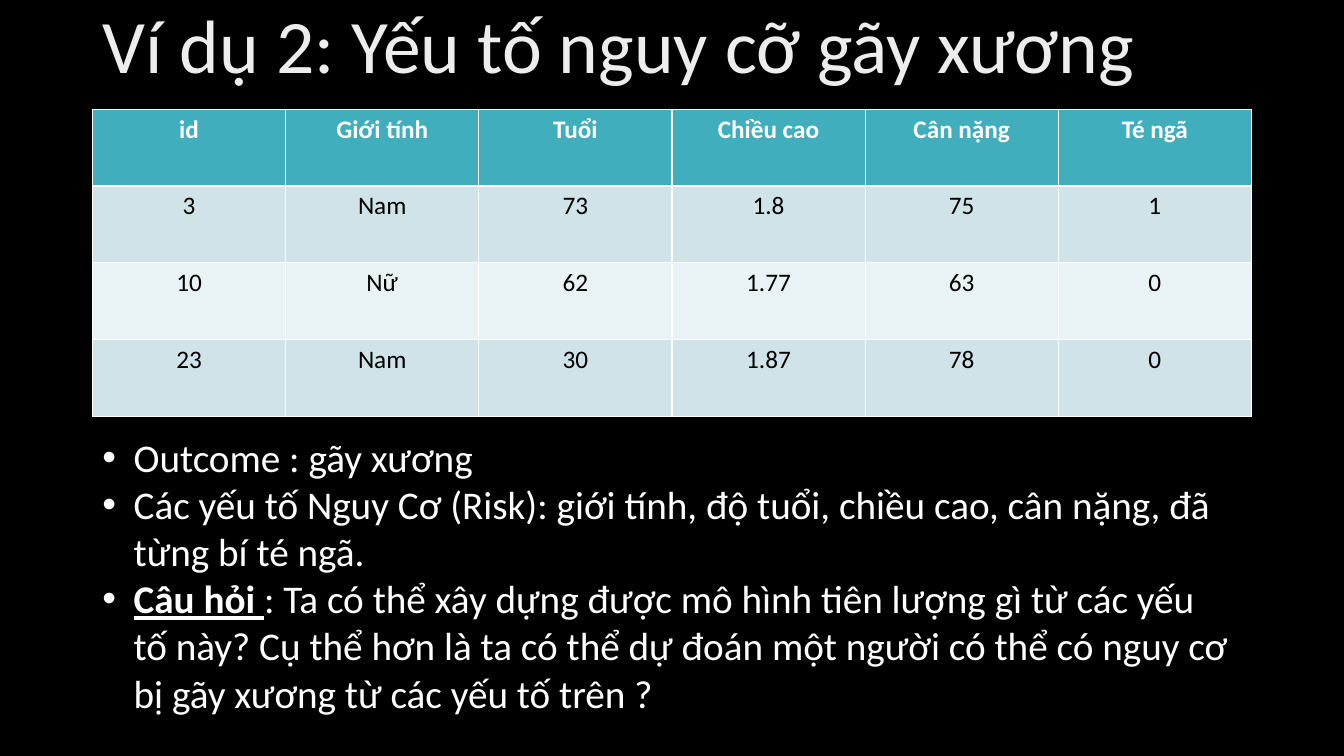
import pptx
import pptx.dml.color
import pptx.enum.text
import pptx.oxml
import pptx.util
from pptx.util import Cm

COLOURS = {
    "background": "000000",
    "title": "EDEDED",
    "light": "FFFFFF",
    "dark": "000000",
    "header": "41AEBD",
    "odd": "CFE3E8",
    "even": "E9F2F4",
}
PATIENTS = [
    ["id", "Giới tính", "Tuổi", "Chiều cao", "Cân nặng", "Té ngã"],
    ["3", "Nam", "73", "1.8", "75", "1"],
    ["10", "Nữ", "62", "1.77", "63", "0"],
    ["23", "Nam", "30", "1.87", "78", "0"],
]
POINTS = [
    ("", "Outcome : gãy xương"),
    ("", "Các yếu tố Nguy Cơ (Risk): giới tính, độ tuổi, chiều cao, cân nặng, "
         "đã từng bí té ngã."),
    ("Câu hỏi ", ": Ta có thể xây dựng được mô hình tiên lượng gì từ các yếu tố này? "
                 "Cụ thể hơn là ta có thể dự đoán một người có thể có nguy cơ bị gãy xương "
                 "từ các yếu tố trên ?"),
]


class Painter:
    """Draws styled elements on the current slide."""

    font_name = "Calibri"

    def __init__(self, page):
        self.page = page

    def paint(self, fill, colour):
        fill.solid()
        fill.fore_color.rgb = pptx.dml.color.RGBColor.from_string(COLOURS[colour])

    def style(self, para, size, colour, bold=None):
        para.font.name = self.font_name
        para.font.size = pptx.util.Pt(size)
        para.font.bold = bold
        self.paint(para.font.fill, colour)

    def background(self, colour):
        self.paint(self.page.background.fill, colour)

    def title(self, text, left, top, width, height):
        box = self.page.shapes.title
        box.left, box.top, box.width, box.height = left, top, width, height
        frame = box.text_frame
        frame.text = text
        frame.auto_size = pptx.enum.text.MSO_AUTO_SIZE.NONE
        frame.vertical_anchor = pptx.enum.text.MSO_ANCHOR.MIDDLE
        para = frame.paragraphs[0]
        para.alignment = pptx.enum.text.PP_ALIGN.LEFT
        para.line_spacing = 0.9
        self.style(para, 54, "title")

    def table(self, rows, left, top, width, height):
        grid = self.page.shapes.add_table(
            len(rows), len(rows[0]), left, top, width, height).table
        for r, row in enumerate(rows):
            band = "header" if r == 0 else "odd" if r % 2 else "even"
            for c, text in enumerate(row):
                cell = grid.cell(r, c)
                cell.text = text
                self.paint(cell.fill, band)
                para = cell.text_frame.paragraphs[0]
                para.alignment = pptx.enum.text.PP_ALIGN.CENTER
                self.style(para, 18, "dark" if r else "light", r == 0)

    def bullets(self, points, left, top, width, height):
        frame = self.page.shapes.add_textbox(left, top, width, height).text_frame
        frame.word_wrap = True
        for i, (lead, text) in enumerate(points):
            para = frame.add_paragraph() if i else frame.paragraphs[0]
            self.style(para, 28, "light")
            if lead:
                span = para.add_run()
                span.text = lead
                span.font.bold = span.font.underline = True
            para.add_run().text = text
            props = para._p.get_or_add_pPr()
            props.set("marL", str(Cm(0.79)))
            props.set("indent", str(-Cm(0.79)))
            ns = pptx.oxml.ns.nsdecls("a")
            for bullet in ('buFont %s typeface="Arial"', 'buChar %s char="•"'):
                mark = pptx.oxml.parse_xml(f"<a:{bullet % ns}/>")
                props.insert_element_before(mark, "a:tabLst", "a:defRPr", "a:extLst")


def main():
    deck = pptx.Presentation()
    deck.slide_width, deck.slide_height = Cm(33.87), Cm(19.05)
    painter = Painter(deck.slides.add_slide(deck.slide_layouts[5]))
    left = Cm(2.33)
    painter.background("background")
    painter.title("Ví dụ 2: Yếu tố nguy cỡ gãy xương", left, Cm(0), Cm(27.53), Cm(2.46))
    painter.table(PATIENTS, left, Cm(2.75), Cm(29.21), Cm(7.74))
    painter.bullets(POINTS, left, Cm(10.8), Cm(28.85), Cm(7.44))
    deck.save("out.pptx")


if __name__ == "__main__":
    main()
